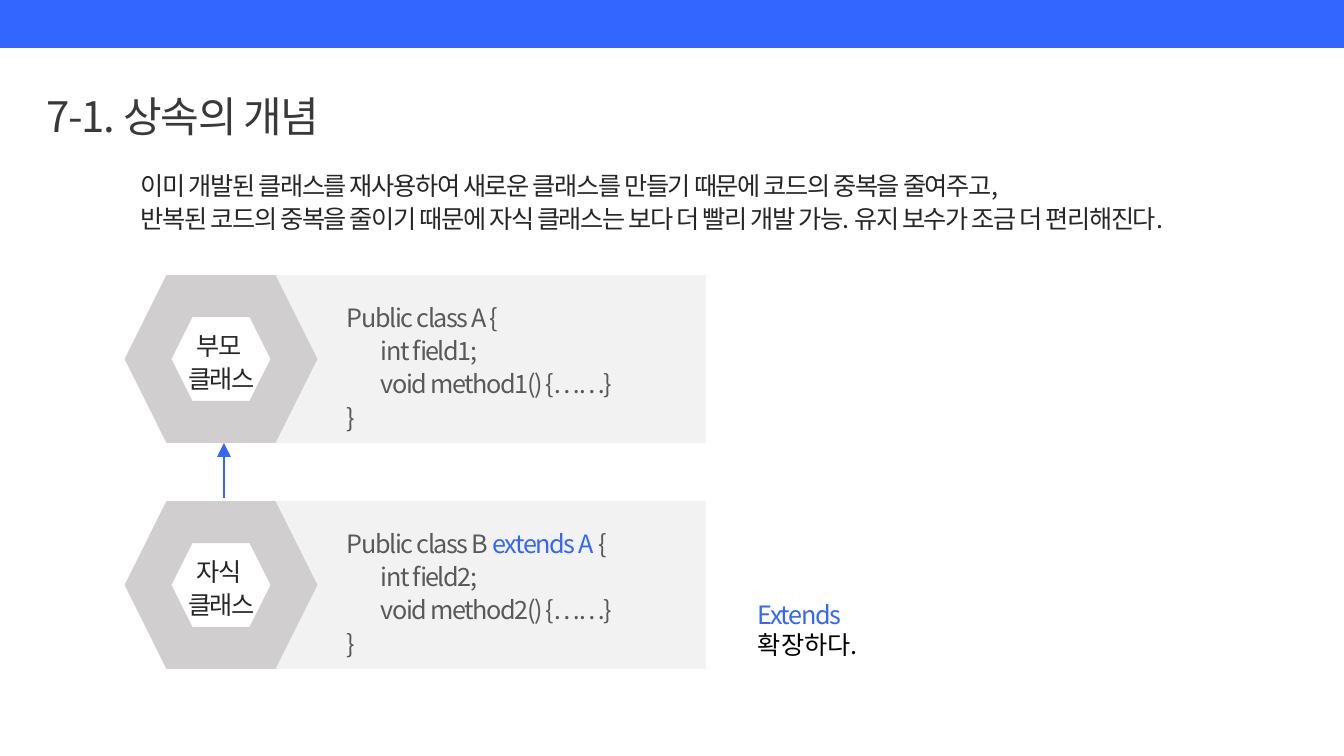
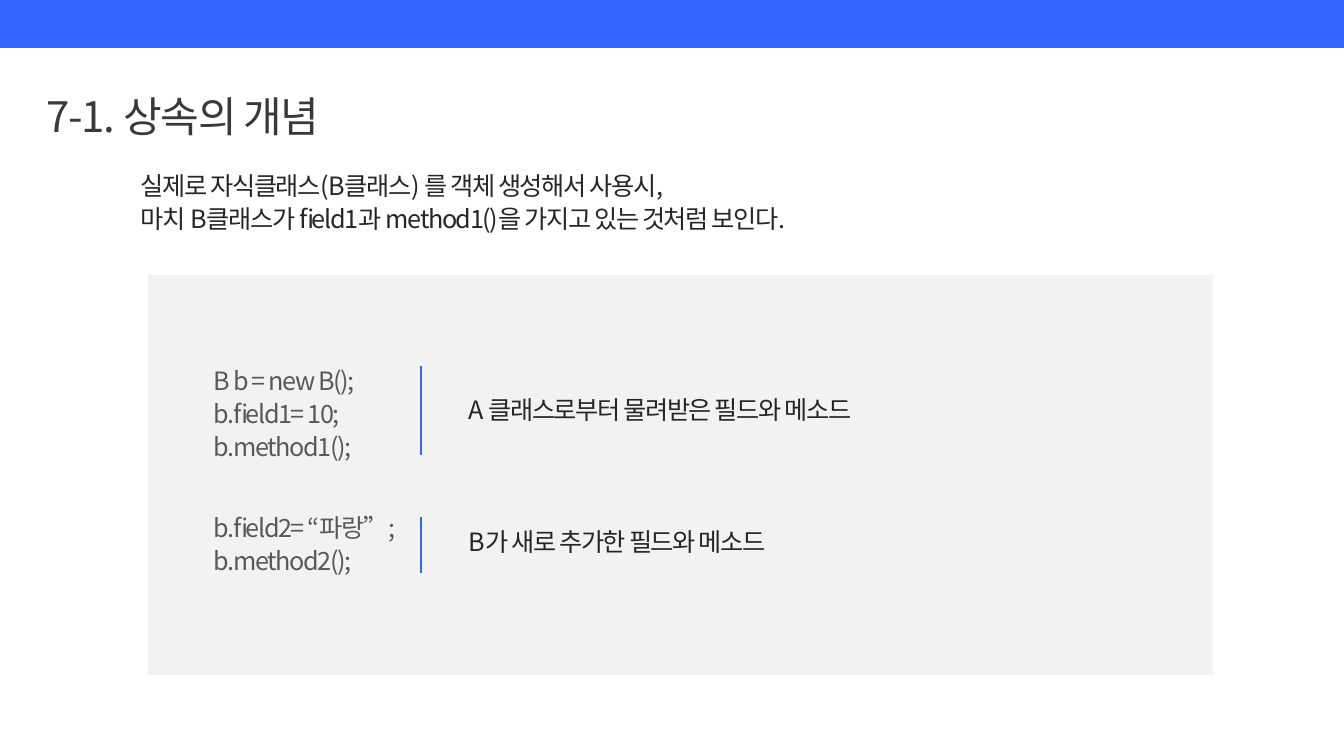
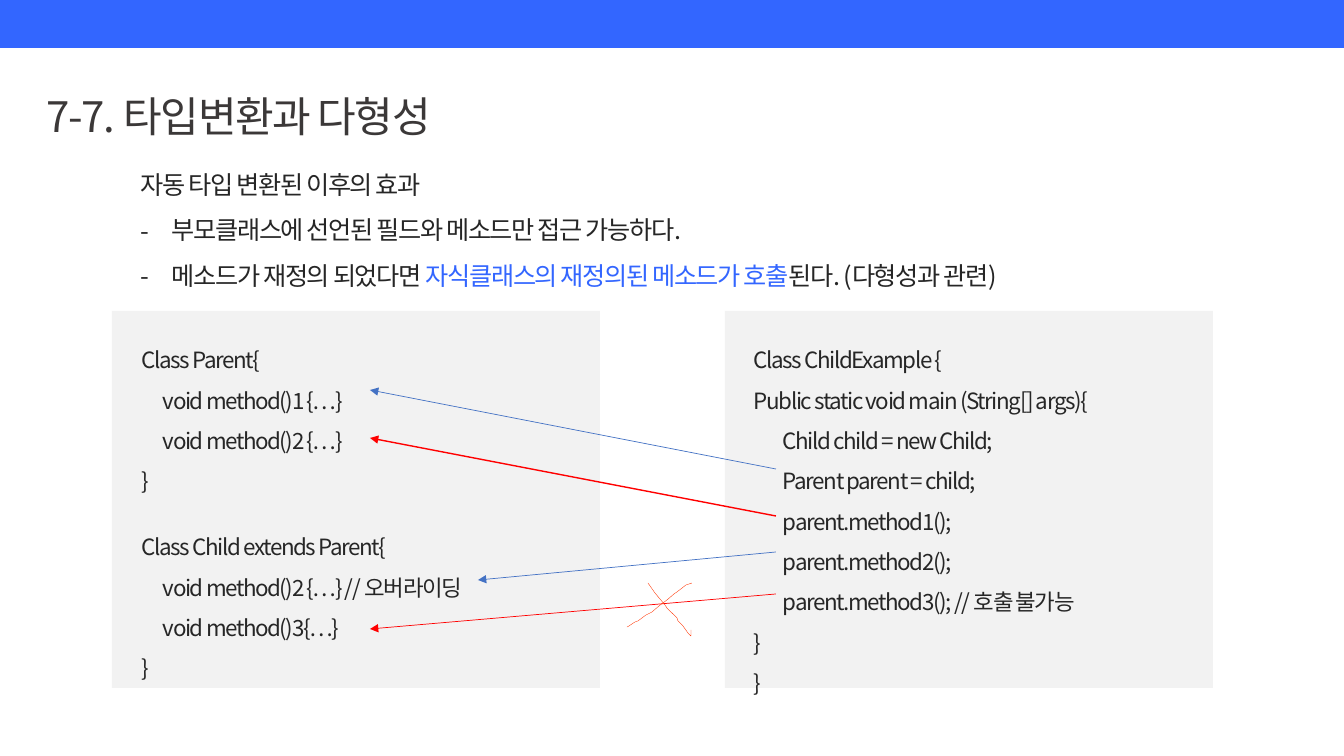
from dataclasses import dataclass

from lxml import etree
from pptx import Presentation
from pptx.dml.color import RGBColor
from pptx.enum.shapes import MSO_CONNECTOR, MSO_SHAPE
from pptx.enum.text import MSO_ANCHOR, PP_ALIGN
from pptx.oxml.ns import qn
from pptx.util import Pt

STRAIGHT = MSO_CONNECTOR.STRAIGHT
RECTANGLE, HEXAGON = MSO_SHAPE.RECTANGLE, MSO_SHAPE.HEXAGON
TOP = MSO_ANCHOR.TOP
LEFT, CENTER = PP_ALIGN.LEFT, PP_ALIGN.CENTER

EMU_PER_PX = 914400 / 100.8
WIDTH, HEIGHT = 1344, 756


def px(length):
    return round(length * EMU_PER_PX)


@dataclass(frozen=True)
class Theme:
    font: str = "Noto Sans CJK KR"
    accent: str = "3366FF"
    title: str = "3B3838"
    body: str = "262626"
    code: str = "595959"
    black: str = "000000"
    white: str = "FFFFFF"
    panel: str = "F2F2F2"
    ring: str = "D0CECE"
    link: str = "4472C4"
    warning: str = "FF0000"
    cross: str = "FF3300"
    title_size: int = 30
    body_size: int = 18
    small_size: int = 16
    line_height: float = 1.2
    tracking: float = -1


@dataclass(frozen=True)
class Line:
    """One paragraph; the part equal to accent takes the accent colour."""
    text: str
    accent: str = ""
    indent: int = 0
    dash: bool = False
    color: str = ""
    tracking: float = Theme.tracking


class Deck:
    def __init__(self, theme):
        self.theme = theme
        self.file = Presentation()
        self.file.slide_width, self.file.slide_height = px(WIDTH), px(HEIGHT)
        self.slide = None

    def start(self, title):
        """New slide with the blue band and the title."""
        self.slide = self.file.slides.add_slide(self.file.slide_layouts[6])
        self.box(0, 0, WIDTH, 48, self.theme.accent)
        self.text(37, 81, 963, 63, [title], self.theme.title, self.theme.title_size)

    def box(self, x, y, w, h, fill, kind=RECTANGLE):
        shape = self.slide.shapes.add_shape(kind, px(x), px(y), px(w), px(h))
        shape.shadow.inherit = False
        shape.fill.solid()
        shape.fill.fore_color.rgb = RGBColor.from_string(fill)
        shape.line.fill.background()
        return shape

    def hexagon(self, x, y, lines):
        """White hexagon with a thick mitred ring and a centred label."""
        outline = self.box(x, y, 146, 126, self.theme.white, HEXAGON).line
        self.stroke(outline, self.theme.ring, 30)
        miter = etree.SubElement(outline._get_or_add_ln(), qn("a:miter"))
        miter.set("lim", "800000")
        self.text(x + 7, y + 26, 133, 62, lines, align=CENTER)

    def text(self, x, y, w, h, lines, color=Theme.body, size=Theme.body_size,
             spacing=1.1, align=LEFT):
        frame = self.slide.shapes.add_textbox(px(x), px(y), px(w), px(h)).text_frame
        frame.word_wrap = True
        frame.vertical_anchor = TOP
        for number, line in enumerate(lines):
            if isinstance(line, str):
                line = Line(line)
            paragraph = frame.add_paragraph() if number else frame.paragraphs[0]
            paragraph.alignment = align
            paragraph.line_spacing = Pt(round(size * spacing * self.theme.line_height, 1))
            self.indent(paragraph, line)
            parts = line.text.partition(line.accent) if line.accent else [line.text]
            for part in filter(None, parts):
                run = paragraph.add_run()
                run.text = part
                shade = self.theme.accent if part == line.accent else line.color or color
                self.style(run, shade, size, line.tracking)

    def indent(self, paragraph, line):
        properties = paragraph._p.get_or_add_pPr()
        if line.indent:
            properties.set("marL", str(px(line.indent)))
        if line.dash:
            properties.set("indent", str(-px(line.indent)))
            etree.SubElement(properties, qn("a:buFont")).set("typeface", self.theme.font)
            etree.SubElement(properties, qn("a:buChar")).set("char", "-")

    def style(self, run, color, size, tracking):
        run.font.name = self.theme.font
        run.font.size = Pt(size)
        run.font.color.rgb = RGBColor.from_string(color)
        properties = run._r.get_or_add_rPr()
        properties.set("spc", str(round(tracking * 100)))
        etree.SubElement(properties, qn("a:ea")).set("typeface", self.theme.font)

    def stroke(self, line, color, width):
        line.fill.solid()
        line.fill.fore_color.rgb = RGBColor.from_string(color)
        line.width = Pt(width)

    def line(self, start, end, color, width, arrow=""):
        """Straight line; arrow gives the size of the head, if any."""
        connector = self.slide.shapes.add_connector(
            STRAIGHT, *(px(value) for value in (*start, *end)))
        self.stroke(connector.line, color, width)
        if arrow:
            head = etree.SubElement(connector.line._get_or_add_ln(), qn("a:tailEnd"))
            for key, value in (("type", "triangle"), ("w", arrow), ("len", arrow)):
                head.set(key, value)
        etree.SubElement(connector._element.spPr, qn("a:effectLst"))

    def scribble(self, points, color, width):
        builder = self.slide.shapes.build_freeform(*points[0], scale=EMU_PER_PX)
        builder.add_line_segments(points[1:], close=False)
        shape = builder.convert_to_shape()
        shape.shadow.inherit = False
        shape.fill.background()
        self.stroke(shape.line, color, width)


theme = Theme()
deck = Deck(theme)

# Slide 1: parent and child class
deck.start("7-1. 상속의 개념")
deck.text(131, 162, 1099, 125, [
    "이미 개발된 클래스를 재사용하여 새로운 클래스를 만들기 때문에 코드의 중복을 줄여주고,",
    "반복된 코드의 중복을 줄이기 때문에 자식 클래스는 보다 더 빨리 개발 가능. "
    "유지 보수가 조금 더 편리해진다.",
])
classes = [
    (275, "부모 ", Line("Public class A {"), 1),
    (501, "자식 ", Line("Public class B extends A {", accent="extends A "), 2),
]
for top, role, heading, number in classes:
    deck.box(274, top, 432, 168, theme.panel)
    deck.text(337, top + 19, 327, 147, [
        heading,
        Line(f"int field{number};", indent=34),
        Line(f"void method{number}() {{……}}", indent=34),
        "}",
    ], theme.code)
    deck.hexagon(148, top + 21, [role, "클래스"])
deck.line((224, 498), (224, 443), theme.accent, 1.75, arrow="lg")
deck.text(748, 594, 128, 72, [
    Line("Extends", color=theme.accent),
    Line("확장하다.", color=theme.black, tracking=0),
], spacing=1)

# Slide 2: inherited and added members
deck.start("7-1. 상속의 개념")
deck.text(131, 162, 1099, 125, [
    "실제로 자식클래스(B클래스) 를 객체 생성해서 사용시,",
    "마치 B클래스가 field1과 method1()을 가지고 있는 것처럼 보인다.",
])
deck.box(148, 275, 1065, 400, theme.panel)
members = [
    (357, ["B b = new B();", "b.field1= 10;", "b.method1();"],
     366, 455, 386, "A 클래스로부터 물려받은 필드와 메소드"),
    (504, ["b.field2= “파랑”;", "b.method2();"],
     517, 573, 518, "B가 새로 추가한 필드와 메소드"),
]
for code_top, code, rule_top, rule_bottom, label_top, label in members:
    deck.text(204, code_top, 327, 147, code, theme.code)
    deck.line((421, rule_bottom), (421, rule_top), theme.accent, 1.75)
    deck.text(459, label_top, 427, 48, [label])

# Slide 3: type conversion and polymorphism
deck.start("7-7. 타입변환과 다형성")
deck.text(131, 149, 1099, 158, [
    "자동 타입 변환된 이후의 효과",
    Line("부모클래스에 선언된 필드와 메소드만 접근 가능하다.", indent=31, dash=True),
    Line("메소드가 재정의 되었다면 자식클래스의 재정의된 메소드가 호출된다. (다형성과 관련)",
         accent="자식클래스의 재정의된 메소드가 호출", indent=31, dash=True),
], spacing=1.5)

for panel_left in (725, 112):
    deck.box(panel_left, 311, 488, 377, theme.panel)

calls = ["Child child = new Child;", "Parent parent = child;", "parent.method1();",
         "parent.method2();", "parent.method3(); // 호출 불가능"]
parent_methods = ["void method()1 {…}", "void method()2 {…}"]
child_methods = ["void method()2 {…} // 오버라이딩", "void method()3{…}"]
listings = [
    (744, 328, 488, 338, 29,
     ["Class ChildExample {", "Public static void main (String[] args){"], calls, ["}", "}"]),
    (132, 328, 246, 169, 21, ["Class Parent{"], parent_methods, ["}"]),
    (132, 515, 380, 169, 21, ["Class Child extends Parent{"], child_methods, ["}"]),
]
for left, top, width, height, indent, opening, body, closing in listings:
    code = opening + [Line(statement, indent=indent) for statement in body] + closing
    deck.text(left, top, width, height, code, size=theme.small_size, spacing=1.5)

# Arrows from each call to the method it reaches
call_links = [
    (469, (370, 390), theme.link, 0.5),
    (516, (370, 438), theme.warning, 1),
    (552, (478, 580), theme.link, 0.5),
    (594, (370, 629), theme.warning, 0.5),
]
for call_y, method, color, weight in call_links:
    deck.line((776, call_y), method, color, weight, arrow="med")

# Hand-drawn cross over the impossible call
cross_strokes = [
    [(648, 583), (655, 593), (665, 605), (667, 608), (673, 614), (677, 618),
     (678, 621), (683, 626), (688, 633), (691, 636), (691, 630)],
    [(692, 583), (686, 585), (677, 592), (674, 594), (667, 600), (659, 606),
     (652, 612), (646, 615), (642, 618), (638, 621), (635, 622), (629, 626), (627, 627)],
]
for points in cross_strokes:
    deck.scribble(points, theme.cross, 0.25)

deck.file.save("out.pptx")
